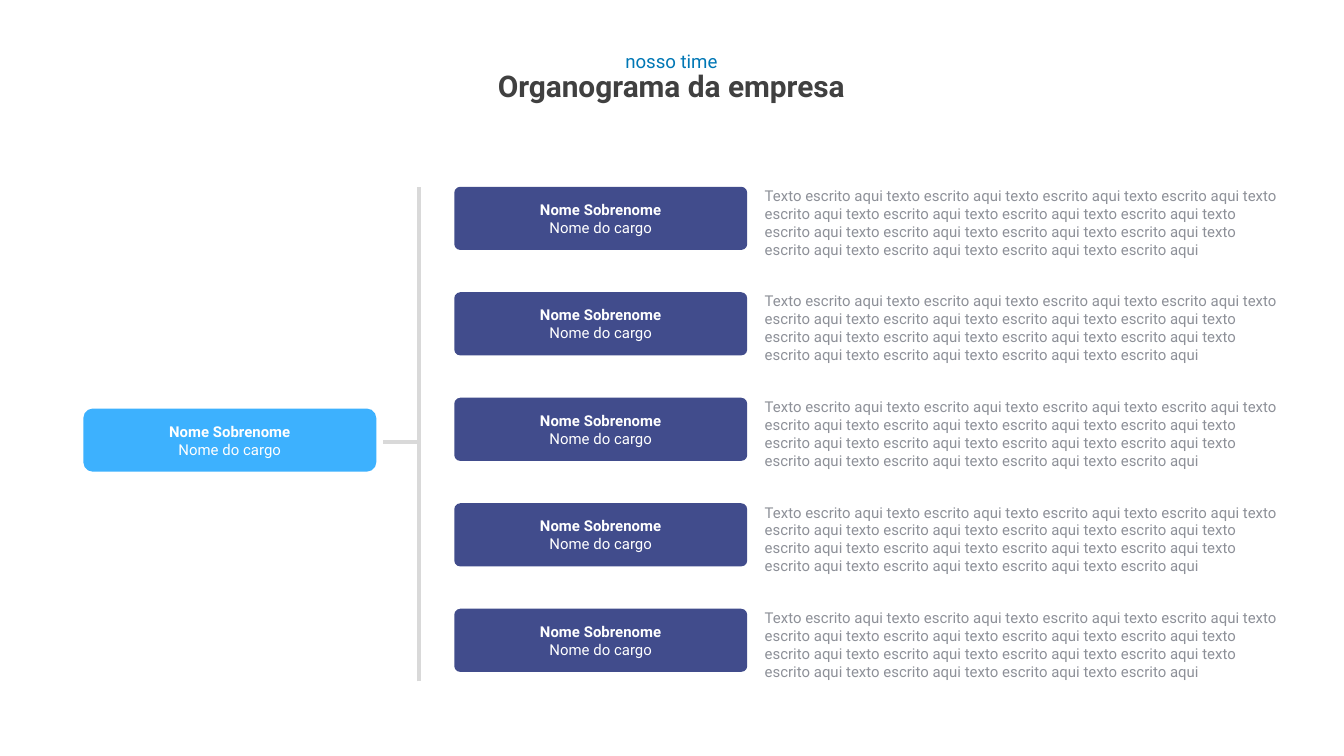
import pptx
import pptx.dml.color
import pptx.enum.shapes
import pptx.enum.text
import pptx.oxml
import pptx.util

Inches = pptx.util.Inches
Anchor = pptx.enum.text.MSO_ANCHOR
Align = pptx.enum.text.PP_ALIGN
Shape = pptx.enum.shapes.MSO_SHAPE

COLORS = {
    "lead": "3DB1FE",
    "team": "414C8C",
    "line": "D9D9D9",
    "title": "404040",
    "topic": "0077B5",
    "body": "8D9098",
    "white": "FFFFFF",
}
NAME, ROLE = "Nome Sobrenome", "Nome do cargo"
BODY = "Texto escrito aqui" + " texto escrito aqui" * 15
CARD_W, CARD_H = 2.18, 0.47
ROWS = 5
PITCH = 3.14 / (ROWS - 1)


def tint(key):
    """Return the named colour."""
    return pptx.dml.color.RGBColor.from_string(COLORS[key])


def place(shape, box):
    """Move and size a shape to a box in inches."""
    shape.left, shape.top, shape.width, shape.height = map(Inches, box)


def setup(frame, inset, anchor, wrap=True):
    """Set the insets, anchor and wrapping of a text frame."""
    frame.margin_left = frame.margin_right = Inches(inset)
    frame.margin_top = frame.margin_bottom = Inches(min(inset, 0.05))
    frame.vertical_anchor = anchor
    frame.word_wrap = wrap


def write(para, text, size, key, bold=False, align=Align.CENTER):
    """Add one styled run to a paragraph."""
    para.alignment = align
    run = para.add_run()
    run.text = text
    run.font.name = "Roboto"
    run.font.size = pptx.util.Pt(size)
    run.font.bold = bold
    run.font.color.rgb = tint(key)


def head(slide, box):
    """Place the title and the small topic line above it."""
    x, y, w, h = box
    title = slide.shapes.title
    place(title, (x, y + 0.13, w, h - 0.13))
    topic = slide.shapes.add_textbox(0, 0, 0, 0)
    place(topic, (x + (w - 0.89) / 2, y, 0.89, 0.27))
    for shape, text, size, key in (
        (title, "Organograma da empresa", 16, "title"),
        (topic, "nosso time", 10, "topic"),
    ):
        setup(shape.text_frame, 0.1, Anchor.TOP, False)
        write(shape.text_frame.paragraphs[0], text, size, key, key == "title")


def card(slide, box, key, curve):
    """Draw a rounded card with a name and a role."""
    shape = slide.shapes.add_shape(Shape.ROUNDED_RECTANGLE, *map(Inches, box))
    shape.adjustments[0] = curve
    shape.shadow.inherit = False
    shape.fill.solid()
    shape.fill.fore_color.rgb = tint(key)
    shape.line.fill.background()
    frame = shape.text_frame
    setup(frame, 0, Anchor.MIDDLE)
    write(frame.paragraphs[0], NAME, 8, "white", True)
    write(frame.add_paragraph(), ROLE, 8, "white")


def rule(slide, *ends):
    """Draw a straight grey line between two points."""
    line = slide.shapes.add_connector(
        pptx.enum.shapes.MSO_CONNECTOR.STRAIGHT, *map(Inches, ends))
    line.line.color.rgb = tint("line")
    line.line.width = pptx.util.Pt(2.25)
    props = line._element.spPr
    props.append(pptx.oxml.parse_xml(
        '<a:effectLst xmlns:a='
        '"http://schemas.openxmlformats.org/drawingml/2006/main"/>'))


def tree(slide, box):
    """Draw the trunk and the branch that leads to it."""
    x, y, w, h = box
    rule(slide, x + w, y + h, x + w, y)
    rule(slide, x, y + 1.9, x + w, y + 1.9)


def row(slide, box):
    """Place one team card and its description."""
    x, y, w, h = box
    gap = 2.29
    note = slide.shapes.add_textbox(
        *map(Inches, (x + gap, y, w - gap, h)))
    setup(note.text_frame, 0.02, Anchor.MIDDLE)
    write(note.text_frame.paragraphs[0], BODY, 8, "body", align=Align.LEFT)
    card(slide, (x, y, CARD_W, CARD_H), "team", 0.095)


def main():
    """Build and save the slide."""
    deck = pptx.Presentation()
    deck.slide_width = Inches(10)
    deck.slide_height = deck.slide_width * 9 // 16
    slide = deck.slides.add_slide(deck.slide_layouts[5])
    card(slide, (0.62, 3.04, CARD_W, CARD_H), "lead", 0.15)
    tree(slide, (2.85, 1.39, 0.27, 3.68))
    for i in range(ROWS):
        row(slide, (3.38, 1.39 + i * PITCH, 6.16, 0.53))
    head(slide, (3.59, 0.32, 2.81, 0.5))
    deck.save("out.pptx")


if __name__ == "__main__":
    main()
